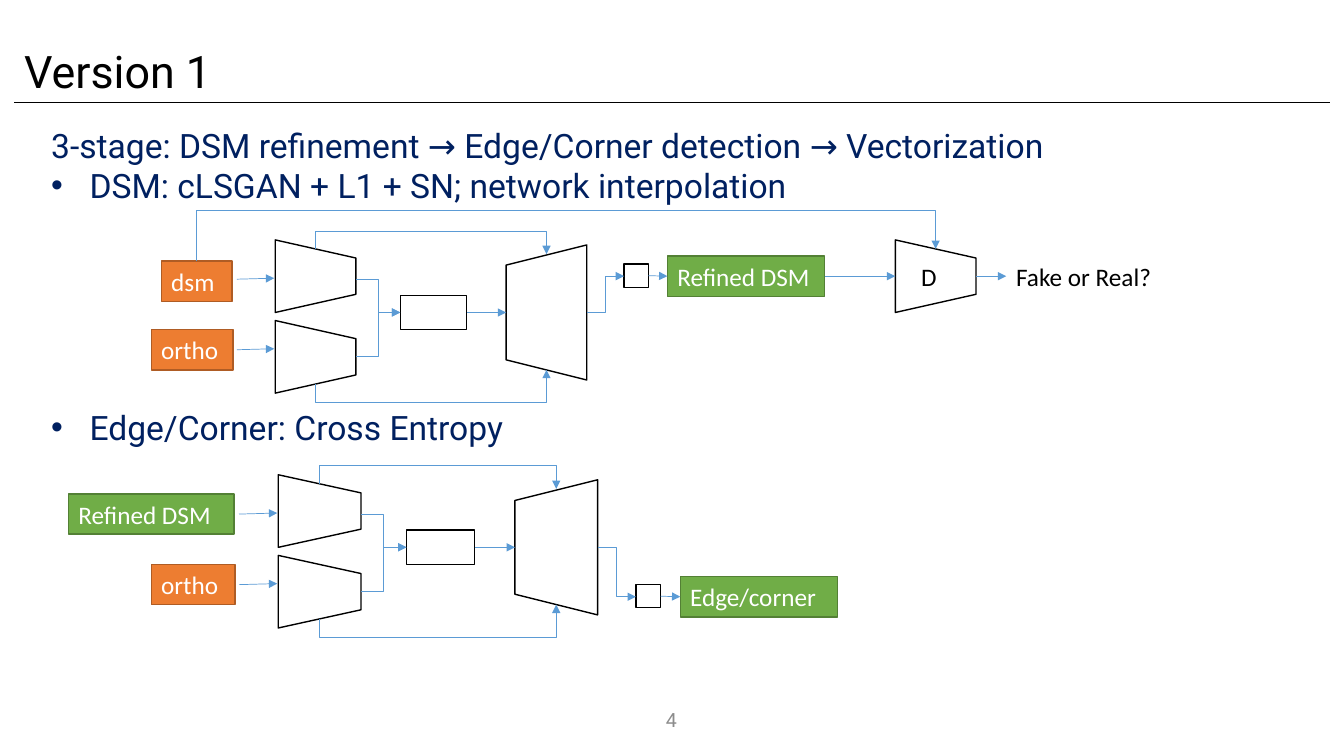
import lxml.etree
import pptx
import pptx.dml.color
import pptx.enum.shapes
import pptx.enum.text
import pptx.oxml.ns
import pptx.util

Inches = pptx.util.Inches
Pt = pptx.util.Pt
SHAPE = pptx.enum.shapes.MSO_SHAPE
CONNECTOR = pptx.enum.shapes.MSO_CONNECTOR
ALIGN = pptx.enum.text.PP_ALIGN
ANCHOR = pptx.enum.text.MSO_ANCHOR
FIT = pptx.enum.text.MSO_AUTO_SIZE
qn = pptx.oxml.ns.qn

BLACK, WHITE, NAVY, GRAY, BLUE = "000000", "FFFFFF", "002060", "8C8C8C", "5B9BD5"
ORANGE, GREEN = ("ED7D31", "AF5C24"), ("70AD47", "538035")


def color(value):
    return pptx.dml.color.RGBColor.from_string(value)


class Diagram:
    """Draws styled text, boxes, trapezoids and arrows on one slide."""

    def __init__(self, page):
        self.page = page

    def style(self, para, size, font, ink):
        para.font.size = Pt(size)
        para.font.name = font
        para.font.color.rgb = color(ink)

    def text(self, left, top, width, height, words, size, font="Roboto", ink=BLACK, wrap=True):
        box = self.page.shapes.add_textbox(Inches(left), Inches(top), Inches(width), Inches(height))
        box.text_frame.word_wrap = wrap
        box.text_frame.text = words
        for para in box.text_frame.paragraphs:
            self.style(para, size, font, ink)
        return box.text_frame

    def bullet(self, para):
        properties = para._p.get_or_add_pPr()
        properties.set("marL", str(Inches(0.38)))
        properties.set("indent", str(Inches(-0.38)))
        lxml.etree.SubElement(properties, qn("a:buFont")).set("typeface", "Arial")
        lxml.etree.SubElement(properties, qn("a:buChar")).set("char", "•")

    def shape(self, kind, left, top, width, height, colors=(WHITE, BLACK)):
        shape = self.page.shapes.add_shape(kind, Inches(left), Inches(top), Inches(width), Inches(height))
        shape.shadow.inherit = False
        shape.fill.solid()
        shape.fill.fore_color.rgb = color(colors[0])
        shape.line.color.rgb = color(colors[1])
        shape.line.width = Pt(1)
        return shape

    def label(self, left, top, width, words, colors):
        box = self.shape(SHAPE.RECTANGLE, left, top, width, 0.4, colors)
        frame = box.text_frame
        frame.text = words
        frame.word_wrap = True
        frame.auto_size = FIT.SHAPE_TO_FIT_TEXT
        frame.vertical_anchor = ANCHOR.TOP
        frame.paragraphs[0].alignment = ALIGN.LEFT
        self.style(frame.paragraphs[0], 18, "Calibri", WHITE)
        return box

    def trapezoid(self, center_x, center_y, width, height, rotation):
        shape = self.shape(SHAPE.TRAPEZOID, center_x - height / 2, center_y - width / 2, height, width)
        shape.rotation = rotation
        return shape

    def line(self, start, end, kind=CONNECTOR.STRAIGHT, ink=BLUE, head=True):
        line = self.page.shapes.add_connector(kind, *[Inches(value) for value in (*start, *end)])
        line.line.color.rgb = color(ink)
        line.line.width = Pt(0.5)
        if head:
            lxml.etree.SubElement(line.line._get_or_add_ln(), qn("a:tailEnd")).set("type", "triangle")
        lxml.etree.SubElement(line._element.spPr, qn("a:effectLst"))
        return line

    def loop(self, start, end, rail):
        center_x, center_y = (start[0] + end[0]) / 2, (start[1] + end[1]) / 2
        across, down = (end[0] - start[0]) / 2, (end[1] - start[1]) / 2
        line = self.line((center_x - down, center_y + across), (center_x + down, center_y - across),
                         CONNECTOR.ELBOW)
        properties = line._element.spPr
        properties.find(qn("a:xfrm")).set("rot", "5400000")
        guide = lxml.etree.SubElement(properties.find(qn("a:prstGeom")).find(qn("a:avLst")), qn("a:gd"))
        guide.set("name", "adj1")
        guide.set("fmla", f"val {round(100000 * (rail - start[1]) / (end[1] - start[1]))}")

    def network(self, left, middle, scale, output_drop, result_words):
        def at(x, y):
            return left + x * scale, middle + y

        for drop in (0, 0.8):
            self.trapezoid(*at(0.4, drop), 0.8 * scale, 0.72, 90)
        bottleneck = self.shape(SHAPE.RECTANGLE, *at(1.24, 0.19), 0.66 * scale, 0.34)
        self.trapezoid(*at(2.69, 0.36), 0.8 * scale, 1.34, 270)
        output = self.shape(SHAPE.RECTANGLE, *at(3.46, output_drop - 0.12), 0.24 * scale, 0.23)
        result = self.label(*at(3.89, output_drop - 0.2), 1.56, result_words, GREEN)
        for drop in (0.03, 0.73):
            self.line(at(-0.38, drop), at(-0.01, drop - 0.01))
        for drop in (0.03, 0.8):
            self.line(at(0.8, drop), at(1.24, 0.36), CONNECTOR.ELBOW)
        self.line(at(1.9, 0.36), at(2.29, 0.36)).begin_connect(bottleneck, 3)
        self.line(at(3.09, 0.36), at(3.46, output_drop), CONNECTOR.ELBOW)
        link = self.line(at(3.7, output_drop), at(3.89, output_drop))
        link.begin_connect(output, 3)
        link.end_connect(result, 1)
        self.loop(at(0.4, -0.27), at(2.69, -0.22), middle - 0.45)
        self.loop(at(0.4, 1.07), at(2.69, 0.93), middle + 1.25)
        return result


def main():
    deck = pptx.Presentation()
    deck.slide_width, deck.slide_height = Inches(13.33), Inches(7.5)
    diagram = Diagram(deck.slides.add_slide(deck.slide_layouts[6]))

    diagram.line((0.14, 1.02), (13.19, 1.02), ink=BLACK, head=False)
    diagram.text(0.14, 0.38, 6.46, 0.64, "Version 1", 32)
    number = diagram.text(5.16, 6.94, 3, 0.4, "4", 14, ink=GRAY)
    number.vertical_anchor = ANCHOR.MIDDLE
    number.paragraphs[0].alignment = ALIGN.CENTER

    stages = diagram.text(0.41, 1.19, 12.15, 5.76,
                          "3-stage: DSM refinement → Edge/Corner detection → Vectorization", 24, ink=NAVY)
    for words, gap in (("DSM: cLSGAN + L1 + SN; network interpolation", 0),
                       ("Edge/Corner: Cross Entropy", 144)):
        para = stages.add_paragraph()
        para.text = words
        para.space_before = Pt(gap)
        diagram.bullet(para)
        diagram.style(para, 24, "Roboto", NAVY)

    diagram.label(1.6, 2.59, 0.7, "dsm", ORANGE)
    diagram.label(1.5, 3.27, 0.81, "ortho", ORANGE)
    refined = diagram.network(2.73, 2.74, 1, 0, "Refined DSM")

    critic = diagram.trapezoid(9.28, 2.74, 0.8, 0.72, 90)
    critic.text_frame.text = "D"
    critic.text_frame.vertical_anchor = ANCHOR.MIDDLE
    critic.text_frame._txBody.bodyPr.set("vert", "vert270")
    critic.text_frame.paragraphs[0].alignment = ALIGN.CENTER
    diagram.style(critic.text_frame.paragraphs[0], 18, "Calibri", BLACK)
    diagram.line((8.18, 2.74), (8.88, 2.74)).begin_connect(refined, 3)
    diagram.line((9.68, 2.74), (9.98, 2.74))
    diagram.text(9.98, 2.54, 1.56, 0.4, "Fake or Real?", 18, "Calibri", wrap=False)
    diagram.loop((1.95, 2.59), (9.28, 2.47), 2.09)

    diagram.label(0.68, 4.9, 1.64, "Refined DSM", GREEN)
    diagram.label(1.5, 5.6, 0.83, "ortho", ORANGE)
    diagram.network(2.76, 5.07, 1.025, 0.85, "Edge/corner")

    deck.save("out.pptx")


if __name__ == "__main__":
    main()
